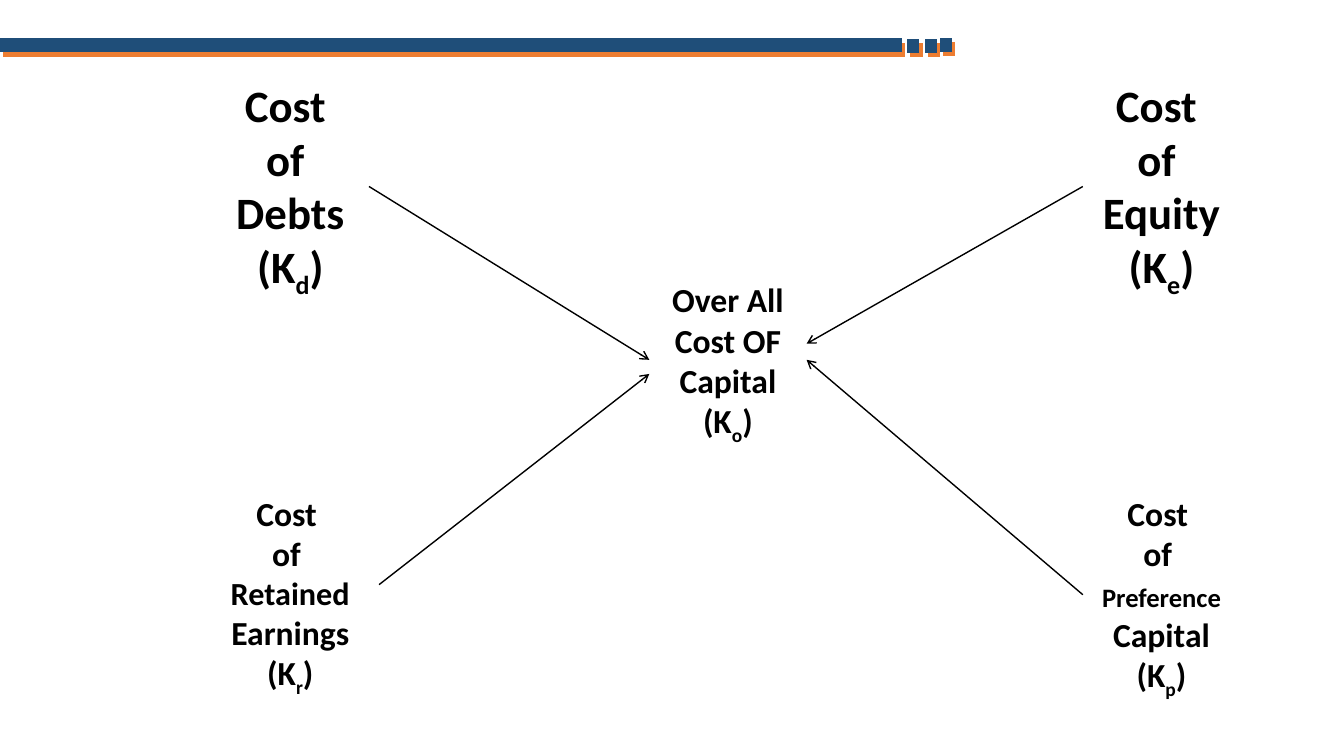
from pptx import Presentation
from pptx.dml.color import RGBColor as Rgb
from pptx.enum.shapes import MSO_CONNECTOR as Link
from pptx.enum.text import MSO_AUTO_SIZE as Fit, PP_ALIGN as Align
from pptx.oxml.ns import qn
from pptx.util import Inches, Pt
from lxml.etree import SubElement as sub

BLACK, BLUE, ORANGE = "000000", "1F4E79", "ED7D31"


def paint(target, color):
    target.rgb = Rgb.from_string(color)


def draw_line(slide, start, end, color=BLACK, width=1, arrow=False):
    line = slide.shapes.add_connector(
        Link.STRAIGHT, *[Inches(n) for n in (*start, *end)])
    paint(line.line.color, color)
    line.line.width = Pt(width)
    if arrow:
        sub(line.line._get_or_add_ln(), qn("a:tailEnd"), type="arrow")
    sub(line._element.spPr, qn("a:effectLst"))


def add_run(para, text, size=24, font="Calibri", color=BLACK, base=0):
    run = para.add_run()
    run.text = text
    run.font.size = Pt(size)
    run.font.name = font
    run.font.bold = True
    paint(run.font.color, color)
    if base:
        run.font._element.set("baseline", str(base * 1000))


def add_label(slide, left, top, high, rows, sign, size=24):
    box = slide.shapes.add_textbox(
        Inches(left), Inches(top), Inches(1.56), Inches(high))
    frame = box.text_frame
    frame.word_wrap = True
    frame.auto_size = Fit.SHAPE_TO_FIT_TEXT
    for index, row in enumerate(rows + [None]):
        para = frame.add_paragraph() if index else frame.paragraphs[0]
        para.alignment = Align.CENTER
        for text, points in row or []:
            add_run(para, text, size=points)
    add_run(para, "(K", size=size)
    add_run(para, sign, size=size, base=-25)
    add_run(para, ")", size=size)


def draw_band(slide, color, left, top):
    draw_line(slide, (left, top), (left + 8.95, top), color, 10)
    for start, shift in ((9, 0.01), (9.17, 0.01), (9.32, 0)):
        level = top + shift if color == BLUE else top + shift - 0.01
        draw_line(slide, (left + start + 0.12, level),
                  (left + start, level), color, 10)


def main():
    deck = Presentation()
    deck.slide_width, deck.slide_height = Inches(13.33), Inches(7.5)
    slide = deck.slides.add_slide(deck.slide_layouts[6])

    draw_band(slide, ORANGE, 0.03, 0.5)
    draw_band(slide, BLUE, 0, 0.45)

    west, east, north, south = 2.1, 10.74, 0.72, 4.84
    for left, name, sign in ((west, "Debts", "d"), (east, "Equity", "e")):
        rows = [[(text, 32)] for text in ("Cost ", "of ", name)]
        add_label(slide, left, north, 2.26, rows, sign, size=32)

    intro = [[("Cost ", 24)], [("of ", 24)]]
    add_label(slide, west, south, 2.1,
              intro + [[("Retained", 23)], [("Earnings", 24)]], "r")
    add_label(slide, east, south, 2.12,
              intro + [[("Preference", 19), (" Capital", 24)]], "p")
    add_label(slide, 6.44, 2.72, 1.72,
              [[("Over All Cost OF Capital", 24)]], "o")

    for start, end in (((3.66, 1.85), (6.44, 3.57)),
                       ((3.76, 5.8), (6.44, 3.71)),
                       ((east, 1.85), (8, 3.41)),
                       ((east, 5.9), (8, 3.57))):
        draw_line(slide, start, end, arrow=True)

    deck.save("out.pptx")


main()
